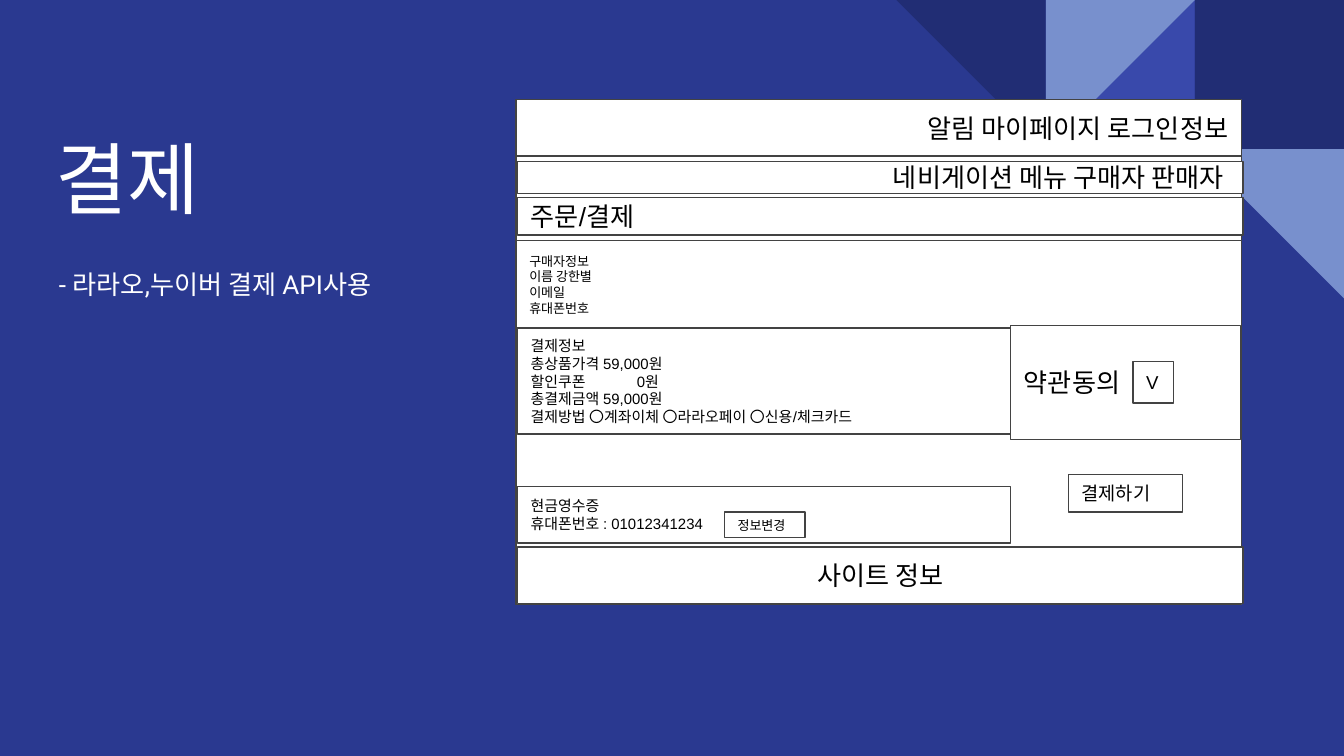
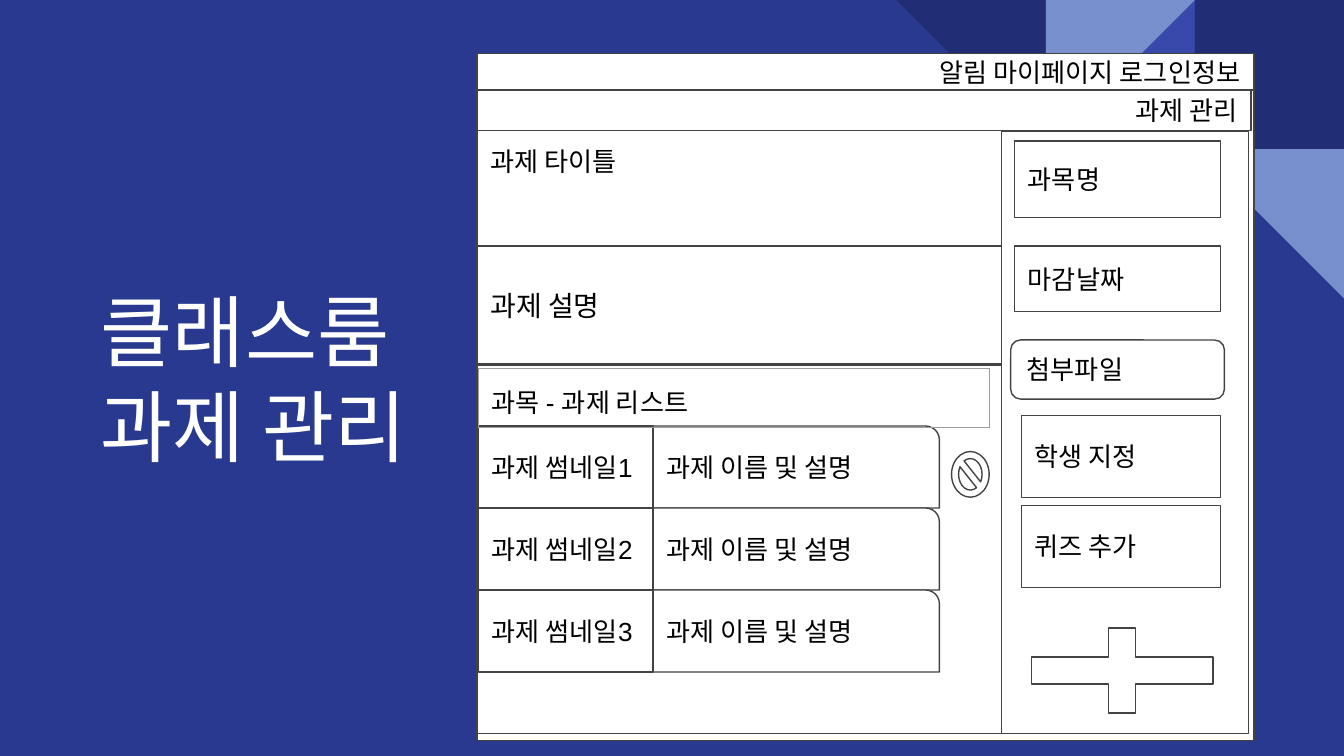
"""Build two wireframe slides: checkout and classroom assignment management."""
from typing import NamedTuple

from lxml import etree
from pptx import Presentation
from pptx.dml.color import RGBColor
from pptx.enum.shapes import MSO_SHAPE
from pptx.enum.text import MSO_ANCHOR, MSO_AUTO_SIZE, PP_ALIGN
from pptx.oxml.ns import qn
from pptx.util import Inches, Pt

NAVY = RGBColor(0x2A, 0x39, 0x90)
DEEP = RGBColor(0x21, 0x2D, 0x74)
INDIGO = RGBColor(0x39, 0x49, 0xAB)
SKY = RGBColor(0x78, 0x90, 0xCD)
WHITE = RGBColor(0xFF, 0xFF, 0xFF)
BLACK = RGBColor(0, 0, 0)
OUTLINE = RGBColor(0x43, 0x43, 0x43)
TABLE_BORDER = "9E9E9E"

RECT = MSO_SHAPE.RECTANGLE
TRIANGLE = MSO_SHAPE.RIGHT_TRIANGLE
ROUND_ONE = MSO_SHAPE.ROUND_1_RECTANGLE
ROUNDED = MSO_SHAPE.ROUNDED_RECTANGLE
PROCESS = MSO_SHAPE.FLOWCHART_PROCESS
FORBIDDEN = MSO_SHAPE.NO_SYMBOL
PLUS = MSO_SHAPE.MATH_PLUS
LEFT, CENTER, RIGHT = PP_ALIGN.LEFT, PP_ALIGN.CENTER, PP_ALIGN.RIGHT
TOP, MIDDLE = MSO_ANCHOR.TOP, MSO_ANCHOR.MIDDLE
FIT_SHAPE, NO_FIT = MSO_AUTO_SIZE.SHAPE_TO_FIT_TEXT, MSO_AUTO_SIZE.NONE

TITLE_ONLY = 5
PAGE_WIDTH = 10
PAGE_HEIGHT = PAGE_WIDTH * 9 / 16
TILE = 1.11
INSET = Inches(0.1)
AMOUNT_TAB = Inches(0.79)
USER_MENU = "알림 마이페이지 로그인정보"


class Tile(NamedTuple):
    """A corner decoration, placed by grid column and row from the right."""
    column: int
    row: int
    kind: int
    color: RGBColor
    rotation: int = 0
    flipped: bool = False


class Box(NamedTuple):
    """An outlined white wireframe box, in inches."""
    left: float
    top: float
    width: float
    height: float
    text: str = ""
    size: int = 14
    align: int = LEFT
    kind: int = RECT
    adjust: float | None = None


TILES = [
    Tile(1, 0, RECT, DEEP),
    Tile(2, 0, TRIANGLE, INDIGO, flipped=True),
    Tile(2, 0, TRIANGLE, SKY, 180, flipped=True),
    Tile(3, 0, TRIANGLE, DEEP, 180),
    Tile(1, 1, TRIANGLE, SKY, 180),
]

CHECKOUT_BOXES = [
    Box(3.84, 0.78, 5.4, 3.72),
    Box(3.84, 0.74, 5.4, 0.42, USER_MENU, align=RIGHT),
    Box(3.85, 1.47, 5.4, 0.28, "주문/결제"),
    Box(3.85, 2.44, 3.67, 0.79,
        "결제정보\n총상품가격 59,000원\n할인쿠폰\t0원\n총결제금액 59,000원\n"
        "결제방법 〇계좌이체 〇라라오페이 〇신용/체크카드", 8),
    Box(3.85, 1.2, 5.4, 0.24, "네비게이션 메뉴 구매자 판매자 ", align=RIGHT),
    Box(3.84, 1.79, 5.4, 0.65, "구매자정보\n이름 강한별\n이메일\n휴대폰번호", 7),
    Box(3.85, 4.07, 5.4, 0.42, "사이트 정보", align=CENTER),
    Box(7.52, 2.42, 1.71, 0.85, "약관동의"),
    Box(3.85, 3.62, 3.67, 0.42, "현금영수증\n휴대폰번호 : 01012341234", 8),
    Box(5.39, 3.81, 0.6, 0.19, "정보변경", 7),
    Box(7.95, 3.53, 0.85, 0.28, "결제하기", 10),
    Box(8.43, 2.69, 0.3, 0.31, "V", 10),
]

CLASSROOM_PANELS = [
    Box(3.55, 0.46, 5.78, 5.05),
    Box(3.55, 0.67, 5.76, 0.3, "과제 관리", align=RIGHT),
    Box(3.55, 2.72, 3.93, 2.74),
    Box(3.55, 1.83, 5.68, 0.88, "과제 설명", 15),
    Box(7.45, 0.98, 1.84, 4.48),
    Box(7.08, 3.36, 0.28, 0.34, kind=FORBIDDEN, adjust=0.188),
    Box(7.43, 4.56, 1.84, 0.86, kind=PLUS, adjust=0.235),
    Box(7.52, 2.53, 1.59, 0.44, "첨부파일", kind=ROUNDED, adjust=0.167),
    Box(7.55, 1.83, 1.53, 0.49, "마감날짜", kind=PROCESS),
    Box(7.55, 1.05, 1.53, 0.57, "과목명"),
    Box(7.6, 3.09, 1.48, 0.61, "학생 지정"),
    Box(7.6, 3.76, 1.48, 0.61, "퀴즈 추가"),
    Box(3.55, 0.4, 5.78, 0.27, USER_MENU, align=RIGHT),
]


def assignment_boxes() -> list[Box]:
    """Return the thumbnail and description boxes of the assignment rows."""
    height = 0.61
    boxes = []
    for row in range(3):
        top = 3.17 + row * height
        boxes.append(Box(3.56, top, 1.3, height, f"과제 썸네일{row + 1}"))
        boxes.append(Box(4.86, top, 2.13, height, "과제 이름 및 설명",
                         kind=ROUND_ONE, adjust=0.167))
    return boxes


def set_text(frame, text: str, size: int, color: RGBColor, font: str = "Arial",
             align: int = LEFT, anchor: int = MIDDLE) -> None:
    """Fill a text frame with evenly formatted paragraphs."""
    frame.word_wrap = True
    frame.vertical_anchor = anchor
    frame.margin_left = frame.margin_right = INSET
    frame.margin_top = frame.margin_bottom = INSET
    set_paragraphs(frame, text, size, color, font, align)


def set_paragraphs(frame, text: str, size: int, color: RGBColor,
                   font: str = "Arial", align: int = LEFT) -> None:
    """Write the paragraphs and set their font and alignment."""
    frame.text = text
    for para in frame.paragraphs:
        para.alignment = align
        para.font.size = Pt(size)
        para.font.name = font
        para.font.color.rgb = color
        if "\t" in para.text:
            add_tab_stop(para)


def add_tab_stop(para) -> None:
    """Align the amount after a tab with the prices around it."""
    properties = para._p.get_or_add_pPr()
    stops = etree.Element(qn("a:tabLst"))
    etree.SubElement(stops, qn("a:tab"), pos=str(AMOUNT_TAB), algn="l")
    properties.insert_element_before(stops, "a:defRPr", "a:extLst")


def add_tile(page, tile: Tile) -> None:
    """Draw one corner decoration."""
    shape = page.shapes.add_shape(
        tile.kind, Inches(PAGE_WIDTH - tile.column * TILE),
        Inches(tile.row * TILE), Inches(TILE), Inches(TILE))
    shape.shadow.inherit = False
    shape.rotation = tile.rotation
    if tile.flipped:
        shape.element.spPr.find(qn("a:xfrm")).set("flipH", "1")
    shape.fill.solid()
    shape.fill.fore_color.rgb = tile.color
    shape.line.fill.background()


def add_box(page, box: Box) -> None:
    """Draw one wireframe box with its text."""
    shape = page.shapes.add_shape(
        box.kind, Inches(box.left), Inches(box.top),
        Inches(box.width), Inches(box.height))
    shape.shadow.inherit = False
    shape.fill.solid()
    shape.fill.fore_color.rgb = WHITE
    shape.line.color.rgb = OUTLINE
    shape.line.width = Pt(0.75)
    if box.adjust is not None:
        shape.adjustments[0] = box.adjust
    if box.text:
        set_text(shape.text_frame, box.text, box.size, BLACK, align=box.align)


def add_label(page, left: float, top: float, width: float, text: str,
              color: RGBColor) -> None:
    """Add a single-line text box without fill."""
    label = page.shapes.add_textbox(
        Inches(left), Inches(top), Inches(width), Inches(0.44))
    set_text(label.text_frame, text, 14, color, "Roboto", anchor=TOP)
    label.text_frame.auto_size = FIT_SHAPE


def add_list_header(page) -> None:
    """Add the one-cell table that heads the assignment list."""
    table = page.shapes.add_table(
        1, 1, Inches(3.56), Inches(2.74), Inches(3.8), Inches(0.44)).table
    table.first_row = table.horz_banding = False
    cell = table.cell(0, 0)
    set_paragraphs(cell.text_frame, "과목 - 과제 리스트", 14, BLACK)
    cell.margin_left = cell.margin_right = INSET
    cell.margin_top = cell.margin_bottom = INSET
    properties = cell._tc.get_or_add_tcPr()
    for side in ("a:lnL", "a:lnR", "a:lnT", "a:lnB"):
        border = etree.SubElement(properties, qn(side), w=str(Pt(0.75)))
        fill = etree.SubElement(border, qn("a:solidFill"))
        etree.SubElement(fill, qn("a:srgbClr"), val=TABLE_BORDER)
    cell.fill.background()


def add_page(deck, title: str, left: float, top: float, width: float):
    """Add a page with the corner decoration and a formatted title."""
    page = deck.slides.add_slide(deck.slide_layouts[TITLE_ONLY])
    for tile in TILES:
        add_tile(page, tile)
    heading = page.shapes.title
    heading.left, heading.top = Inches(left), Inches(top)
    heading.width, heading.height = Inches(width), Inches(0.92)
    set_text(heading.text_frame, title, 42, WHITE, "Roboto")
    heading.text_frame.auto_size = NO_FIT
    return page


def build_checkout(deck) -> None:
    """Build the checkout wireframe."""
    page = add_page(deck, "결제", 0.31, 0.86, 2.21)
    for box in CHECKOUT_BOXES:
        add_box(page, box)
    add_label(page, 0.34, 1.9, 3.16, "- 라라오,누이버 결제 API사용", WHITE)


def build_classroom(deck) -> None:
    """Build the classroom assignment wireframe."""
    page = add_page(deck, "클래스룸\n과제 관리", 0.65, 2.35, 2.77)
    for box in CLASSROOM_PANELS + assignment_boxes():
        add_box(page, box)
    add_label(page, 3.55, 0.98, 5.76, "과제 타이틀", BLACK)
    add_list_header(page)


def main() -> None:
    """Create and save the deck."""
    deck = Presentation()
    deck.slide_width, deck.slide_height = Inches(PAGE_WIDTH), Inches(PAGE_HEIGHT)
    background = deck.slide_master.background.fill
    background.solid()
    background.fore_color.rgb = NAVY
    build_checkout(deck)
    build_classroom(deck)
    deck.save("out.pptx")


if __name__ == "__main__":
    main()
